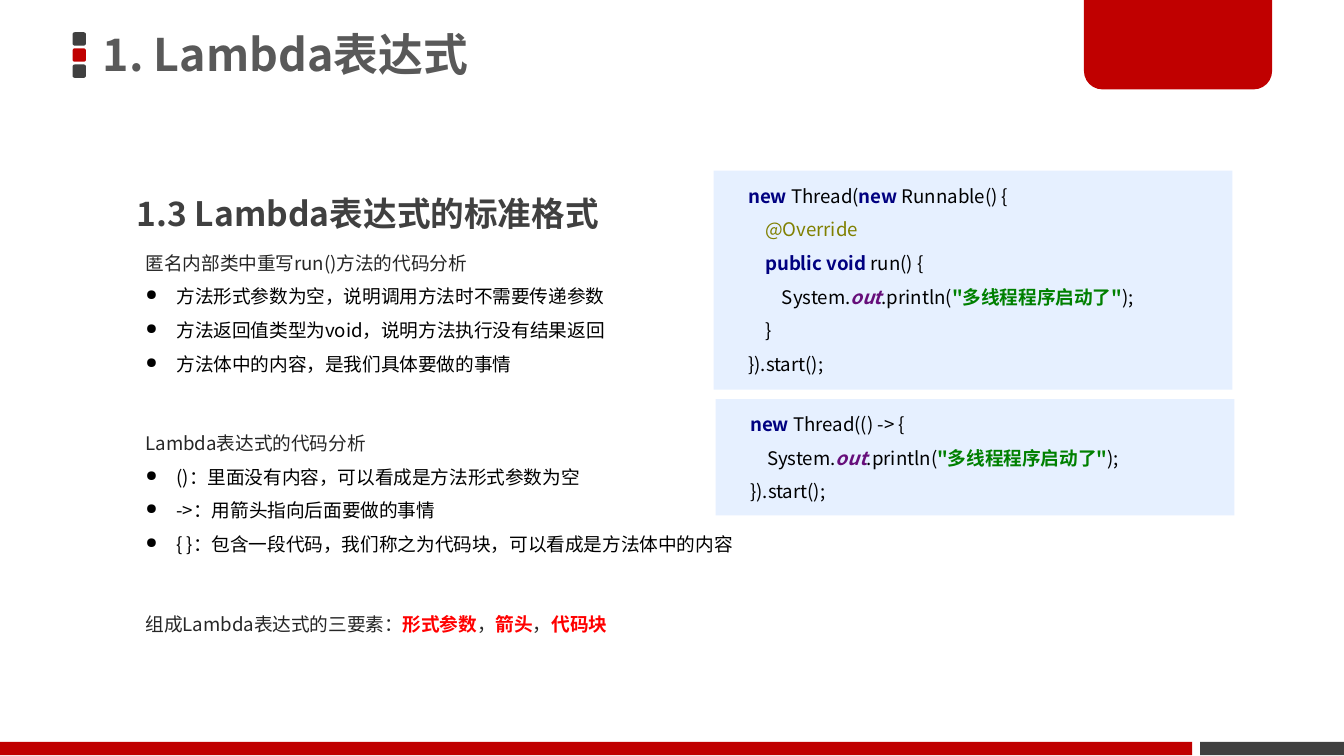
import dataclasses

import pptx
import pptx.dml.color
import pptx.enum.shapes
import pptx.enum.text
import pptx.oxml.ns
import pptx.util
from lxml import etree

SHAPE = pptx.enum.shapes.MSO_SHAPE
ANCHOR = pptx.enum.text.MSO_ANCHOR
FIT = pptx.enum.text.MSO_AUTO_SIZE
ALIGN = pptx.enum.text.PP_ALIGN
qn = pptx.oxml.ns.qn

SLIDE_WIDTH = pptx.util.Inches(10)
SLIDE_HEIGHT = SLIDE_WIDTH * 9 // 16
COLUMNS, ROWS = 100, 56.25


@dataclasses.dataclass(frozen=True)
class Theme:
    font: str = "Noto Sans CJK SC"
    title_size: int = 24
    heading_size: int = 18
    body_size: int = 10
    line_spacing: float = 1.5
    red: str = "C00000"
    dark: str = "404040"
    title: str = "595959"
    lead: str = "262626"
    text: str = "000000"
    accent: str = "FF0000"
    panel: str = "E6F0FF"
    keyword: str = "000080"
    annotation: str = "808000"
    field: str = "660E7A"
    string: str = "008000"


@dataclasses.dataclass(frozen=True)
class Box:
    """A region in grid columns and rows."""
    left: float
    top: float
    width: float
    height: float

    def emu(self):
        column, row = SLIDE_WIDTH / COLUMNS, SLIDE_HEIGHT / ROWS
        return (round(self.left * column), round(self.top * row),
                round(self.width * column), round(self.height * row))


THEME = Theme()
BULLET_INDENT = pptx.util.Inches(0.23)
CODE_INDENT = pptx.util.Inches(0.125)

# Each span is (text, colour, bold, italic).
NEW = ("new ", THEME.keyword, True, False)
PRINT_LINE = [
    ("System.", THEME.text, False, False),
    ("out", THEME.field, True, True),
    (".println(", THEME.text, False, False),
    ('"多线程程序启动了"', THEME.string, True, False),
    (");", THEME.text, False, False),
]


def plain(text, color=THEME.text):
    return (text, color, False, False)


def strong(text, color):
    return (text, color, True, False)


# Each code line is (indent level, spans).
START_LINE = (0, [plain("}).start();")])
ANONYMOUS_CLASS = [
    (0, [NEW, plain("Thread("), NEW, plain("Runnable() {")]),
    (1, [plain("@Override", THEME.annotation)]),
    (1, [strong("public void ", THEME.keyword), plain("run() {")]),
    (2, PRINT_LINE),
    (1, [plain("}")]),
    START_LINE,
]
LAMBDA = [(0, [NEW, plain("Thread(() -> {")]), (1, PRINT_LINE), START_LINE]


def rgb(color):
    return pptx.dml.color.RGBColor.from_string(color)


def add_block(shapes, kind, box, color):
    block = shapes.add_shape(kind, *box.emu())
    block.shadow.inherit = False
    block.fill.solid()
    block.fill.fore_color.rgb = rgb(color)
    block.line.fill.background()
    return block


def add_text_frame(shapes, box):
    frame = shapes.add_textbox(*box.emu()).text_frame
    frame.word_wrap = True
    frame.auto_size = FIT.SHAPE_TO_FIT_TEXT
    return frame


def next_paragraph(frame):
    first = frame.paragraphs[0]
    return first if not first.runs else frame.add_paragraph()


def write(para, spans, size=THEME.body_size, spacing=THEME.line_spacing):
    para.alignment = ALIGN.LEFT
    para.line_spacing = spacing
    para.font.size = pptx.util.Pt(size)
    para.font.name = THEME.font
    latin = para._p.pPr.find(qn("a:defRPr")).find(qn("a:latin"))
    latin.addnext(latin.makeelement(qn("a:ea"), {"typeface": THEME.font}))
    for text, color, bold, italic in spans:
        span = para.add_run()
        span.text = text
        span.font.color.rgb = rgb(color)
        span.font.bold = bold
        span.font.italic = italic


def add_bullet(para):
    properties = para._p.get_or_add_pPr()
    properties.set("marL", str(BULLET_INDENT))
    properties.set("indent", str(-BULLET_INDENT))
    defaults = properties.find(qn("a:defRPr"))
    defaults.addprevious(etree.Element(qn("a:buSzPct"), {"val": "80000"}))
    defaults.addprevious(etree.Element(qn("a:buChar"), {"char": "●"}))


def place_title(page, box, text):
    title = page.shapes.title
    title.left, title.top, title.width, title.height = box.emu()
    frame = title.text_frame
    frame.auto_size = FIT.NONE
    frame.word_wrap = True
    frame.vertical_anchor = ANCHOR.MIDDLE
    frame.margin_left = frame.margin_right = pptx.util.Inches(0.08)
    frame.margin_top = frame.margin_bottom = pptx.util.Inches(0.04)
    write(frame.paragraphs[0], [strong(text, THEME.title)], THEME.title_size, 0.9)


def place_marker(page, box):
    """Three stacked rounded squares beside the title."""
    group = page.shapes.add_group_shape()
    step = (box.height - box.width) / 2
    for index, color in enumerate((THEME.dark, THEME.red, THEME.dark)):
        square = Box(box.left, box.top + index * step, box.width, box.width)
        add_block(group.shapes, SHAPE.ROUNDED_RECTANGLE, square, color)


def place_corner_tab(page, box):
    tab = add_block(page.shapes, SHAPE.ROUND_2_SAME_RECTANGLE, box, THEME.red)
    tab.rotation = 180
    tab.adjustments[0] = 0.2


def place_footer(page, box):
    gap, dark_width = 0.6, 10.7
    red_width = box.width - dark_width - gap
    red = Box(box.left, box.top, red_width, box.height)
    dark = Box(box.left + red_width + gap, box.top, dark_width, box.height)
    add_block(page.shapes, SHAPE.RECTANGLE, dark, THEME.dark)
    add_block(page.shapes, SHAPE.RECTANGLE, red, THEME.red)


def place_text(page, box, spans, size=THEME.body_size):
    frame = add_text_frame(page.shapes, box)
    write(frame.paragraphs[0], spans, size)
    return frame


def place_analysis(page, box, lead, points):
    frame = place_text(page, box, [plain(lead, THEME.lead)])
    for point in points:
        para = frame.add_paragraph()
        write(para, [plain(point)])
        add_bullet(para)


def place_code(page, box, lines):
    group = page.shapes.add_group_shape()
    add_block(group.shapes, SHAPE.RECTANGLE, box, THEME.panel)
    inner = Box(box.left + 1.6, box.top - 0.3, box.width - 1.6, box.height - 0.2)
    frame = add_text_frame(group.shapes, inner)
    for level, spans in lines:
        para = next_paragraph(frame)
        write(para, spans)
        para._p.pPr.set("marL", str(level * CODE_INDENT))


def build_lambda_page(deck):
    page = deck.slides.add_slide(deck.slide_layouts[5])
    place_marker(page, Box(5.4, 2.4, 1, 3.4))
    place_corner_tab(page, Box(80.65, -0.2, 14, 6.85))
    place_footer(page, Box(0, 55.2, COLUMNS, 1))
    place_title(page, Box(6.85, -0.2, 58.9, 8.9), "1. Lambda表达式")
    place_text(page, Box(9.2, 12.35, 38.4, 5.5),
               [strong("1.3 Lambda表达式的标准格式", THEME.dark)], THEME.heading_size)
    place_analysis(page, Box(9.85, 17.4, 81.9, 11), "匿名内部类中重写run()方法的代码分析", [
        "方法形式参数为空，说明调用方法时不需要传递参数",
        "方法返回值类型为void，说明方法执行没有结果返回",
        "方法体中的内容，是我们具体要做的事情",
    ])
    place_analysis(page, Box(9.85, 30.8, 67.7, 11), "Lambda表达式的代码分析", [
        "()：里面没有内容，可以看成是方法形式参数为空",
        "->：用箭头指向后面要做的事情",
        "{ }：包含一段代码，我们称之为代码块，可以看成是方法体中的内容",
    ])
    comma = plain("，", THEME.lead)
    place_text(page, Box(9.85, 44.25, 81.9, 3.5), [
        plain("组成Lambda表达式的三要素：", THEME.lead),
        strong("形式参数", THEME.accent), comma,
        strong("箭头", THEME.accent), comma,
        strong("代码块", THEME.accent),
    ])
    place_code(page, Box(53.1, 12.7, 38.6, 16.3), ANONYMOUS_CLASS)
    place_code(page, Box(53.25, 29.7, 38.6, 8.65), LAMBDA)


def main():
    deck = pptx.Presentation()
    deck.slide_width, deck.slide_height = SLIDE_WIDTH, SLIDE_HEIGHT
    build_lambda_page(deck)
    deck.save("out.pptx")


if __name__ == "__main__":
    main()
